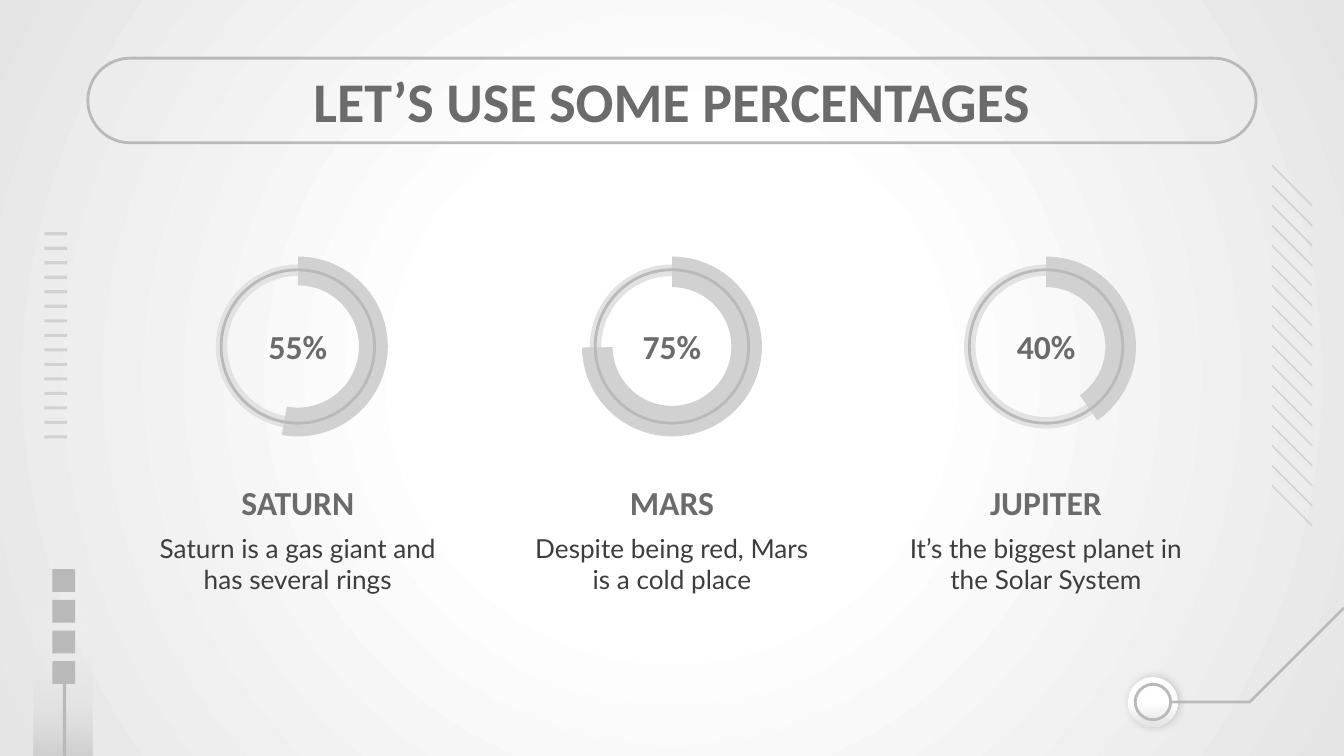
from pptx import Presentation
from pptx.dml.color import RGBColor
from pptx.enum.shapes import MSO_SHAPE
from pptx.enum.text import MSO_ANCHOR, PP_ALIGN
from pptx.oxml import parse_xml
from pptx.oxml.ns import nsdecls, qn
from pptx.util import Cm, Pt

WIDTH, HEIGHT = 25.4, 14.29
RADIAL = ('<a:path path="circle"><a:fillToRect l="50000" t="50000" '
          'r="50000" b="50000"/></a:path>')


def color(hex_string):
    return RGBColor.from_string(hex_string)


def replace_with_gradient(parent, stops, direction):
    """Swap the first solid fill in parent for (percent, colour, alpha) stops."""
    stop_list = "".join(
        f'<a:gs pos="{pos * 1000}"><a:srgbClr val="{shade}">'
        f'<a:alpha val="{alpha * 1000}"/></a:srgbClr></a:gs>'
        for pos, shade, alpha in stops)
    gradient = parse_xml(f'<a:gradFill {nsdecls("a")} rotWithShape="1">'
                         f'<a:gsLst>{stop_list}</a:gsLst>{direction}</a:gradFill>')
    solid = next(parent.iter(qn("a:solidFill")))
    solid.getparent().replace(solid, gradient)


def linear(degrees):
    return f'<a:lin ang="{degrees * 60000}" scaled="0"/>'


class Deck:
    HEADING, BODY = "Calibri", "Lato"
    TITLE, TEXT = "6B6B6B", "3D3D3D"
    LINE, ACCENT, TRACK = "B9B9B9", "D1D1D1", "E2E2E2"

    def __init__(self, presentation):
        self.slide = presentation.slides.add_slide(presentation.slide_layouts[6])

    def background(self, stops):
        self.slide.background.fill.solid()
        replace_with_gradient(self.slide.element, stops, RADIAL)

    def style(self, shape, fill=None, line=None):
        shape.shadow.inherit = False
        if fill:
            shape.fill.solid()
            shape.fill.fore_color.rgb = color(fill)
        else:
            shape.fill.background()
        if line:
            shape.line.color.rgb = color(line)
            shape.line.width = Pt(1.5)
        else:
            shape.line.fill.background()
        return shape

    def shape(self, kind, left, top, width, height, adjust=(), **look):
        shape = self.slide.shapes.add_shape(
            kind, Cm(left), Cm(top), Cm(width), Cm(height))
        for index, value in enumerate(adjust):
            shape.adjustments[index] = value
        return self.style(shape, **look)

    def round_shape(self, kind, center_x, center_y, size, **options):
        return self.shape(kind, center_x - size / 2, center_y - size / 2,
                          size, size, **options)

    def outline(self, points, close=True, **look):
        start, *rest = [(Cm(x), Cm(y)) for x, y in points]
        builder = self.slide.shapes.build_freeform(*start)
        builder.add_line_segments(rest, close=close)
        return self.style(builder.convert_to_shape(), **look)

    def text(self, text, left, top, width, height, *, size=18,
             font=HEADING, bold=True, shade=TITLE):
        frame = self.slide.shapes.add_textbox(
            Cm(left), Cm(top), Cm(width), Cm(height)).text_frame
        frame.word_wrap = True
        frame.vertical_anchor = MSO_ANCHOR.MIDDLE
        frame.margin_left = frame.margin_right = Cm(0.25)
        frame.margin_top = frame.margin_bottom = Cm(0.25)
        paragraph = frame.paragraphs[0]
        paragraph.alignment = PP_ALIGN.CENTER
        run = paragraph.add_run()
        run.text = text
        run.font.name, run.font.size, run.font.bold = font, Pt(size), bold
        run.font.color.rgb = color(shade)

    def planet(self, center_x, name, percent, description, arc_end, thickness):
        center_y = 6.55
        self.round_shape(MSO_SHAPE.BLOCK_ARC, center_x, center_y, 3.1,
                         adjust=(162.41, 162.35, 0.07), fill=self.TRACK)
        self.round_shape(MSO_SHAPE.BLOCK_ARC, center_x, center_y, 3.4,
                         adjust=(162.09, arc_end, thickness), fill=self.ACCENT)
        self.round_shape(MSO_SHAPE.OVAL, center_x, center_y, 2.9, line=self.LINE)
        self.text(percent, center_x - 1.22, 6.05, 2.44, 1)
        left, width = center_x - 3.02, 6.04
        self.text(name, left, 8.76, width, 1.47)
        self.text(description, left, 9.73, width, 1.85, size=14,
                  font=self.BODY, bold=False, shade=self.TEXT)


def main():
    presentation = Presentation()
    presentation.slide_width, presentation.slide_height = Cm(WIDTH), Cm(HEIGHT)
    deck = Deck(presentation)
    deck.background([(0, "FFFFFF", 100), (32, "FFFFFF", 100), (100, "E5E5E5", 100)])

    # Glow behind the tower
    glow = deck.shape(MSO_SHAPE.PARALLELOGRAM, -0.66, 12.52, 3.71, 1.12,
                      adjust=(0.25,), fill=deck.LINE)
    glow.rotation = 270
    replace_with_gradient(
        glow.element, [(0, "B9B9B9", 100), (43, "DCDCDC", 42), (100, "FFFFFF", 0)],
        linear(0))

    # Title
    deck.shape(MSO_SHAPE.ROUNDED_RECTANGLE, 1.66, 1.1, 22.08, 1.6,
               adjust=(0.5,), line=deck.LINE)
    deck.text("LET’S USE SOME PERCENTAGES", 2, 1.1, 21.4, 1.6, size=30)

    # Planets: name, percentage, description, arc end, arc thickness
    planets = [
        ("SATURN", "55%", "Saturn is a gas giant and has several rings", 60.17, 0.16),
        ("MARS", "75%", "Despite being red, Mars is a cold place", 107.6, 0.17),
        ("JUPITER", "40%", "It’s the biggest planet in the Solar System", 33.17, 0.17),
    ]
    for column, planet in enumerate(planets):
        deck.planet(5.63 + 7.07 * column, *planet)

    # Diagonal stripes on the right
    left, side, edge = 24.03, 0.78, 0.02
    stripes, first, last = 17, 3.12, 9.17
    for index in range(stripes):
        top = first + index * (last - first) / (stripes - 1)
        deck.outline([(left + side, top + side - edge), (left + edge, top),
                      (left, top + edge), (left + side - edge, top + side)],
                     fill=deck.ACCENT)

    # Node and its trail
    node_x, node_y = 21.79, 13.27
    node = deck.round_shape(MSO_SHAPE.OVAL, node_x, node_y, 0.94, fill=deck.TRACK)
    replace_with_gradient(
        node.element, [(0, "FFFFFF", 100), (50, "FFFFFF", 100), (100, "E2E2E2", 100)],
        linear(90))
    node.element.spPr.find(qn("a:effectLst")).append(parse_xml(
        f'<a:outerShdw {nsdecls("a")} blurRad="{Pt(4.5)}" dist="{Pt(0.8)}" dir="0" '
        'algn="bl" rotWithShape="0"><a:srgbClr val="000000">'
        '<a:alpha val="19000"/></a:srgbClr></a:outerShdw>'))
    deck.round_shape(MSO_SHAPE.OVAL, node_x, node_y, 0.67, line=deck.LINE)
    deck.outline([(22.15, node_y), (23.62, node_y), (WIDTH, 11.49)],
                 close=False, line=deck.LINE)

    # Tower of squares on a stem
    deck.shape(MSO_SHAPE.RECTANGLE, 1.19, 12.8, 0.06, HEIGHT - 12.8, fill=deck.LINE)
    for index in range(4):
        deck.shape(MSO_SHAPE.RECTANGLE, 0.99, 10.76 + 0.58 * index, 0.43, 0.43,
                   fill=deck.LINE)

    # Scale ticks on the left
    ticks, first, last = 15, 4.39, 8.23
    for index in range(ticks):
        top = first + index * (last - first) / (ticks - 1)
        deck.shape(MSO_SHAPE.RECTANGLE, 0.84, top, 0.43, 0.06, fill=deck.ACCENT)

    presentation.save("out.pptx")


if __name__ == "__main__":
    main()
